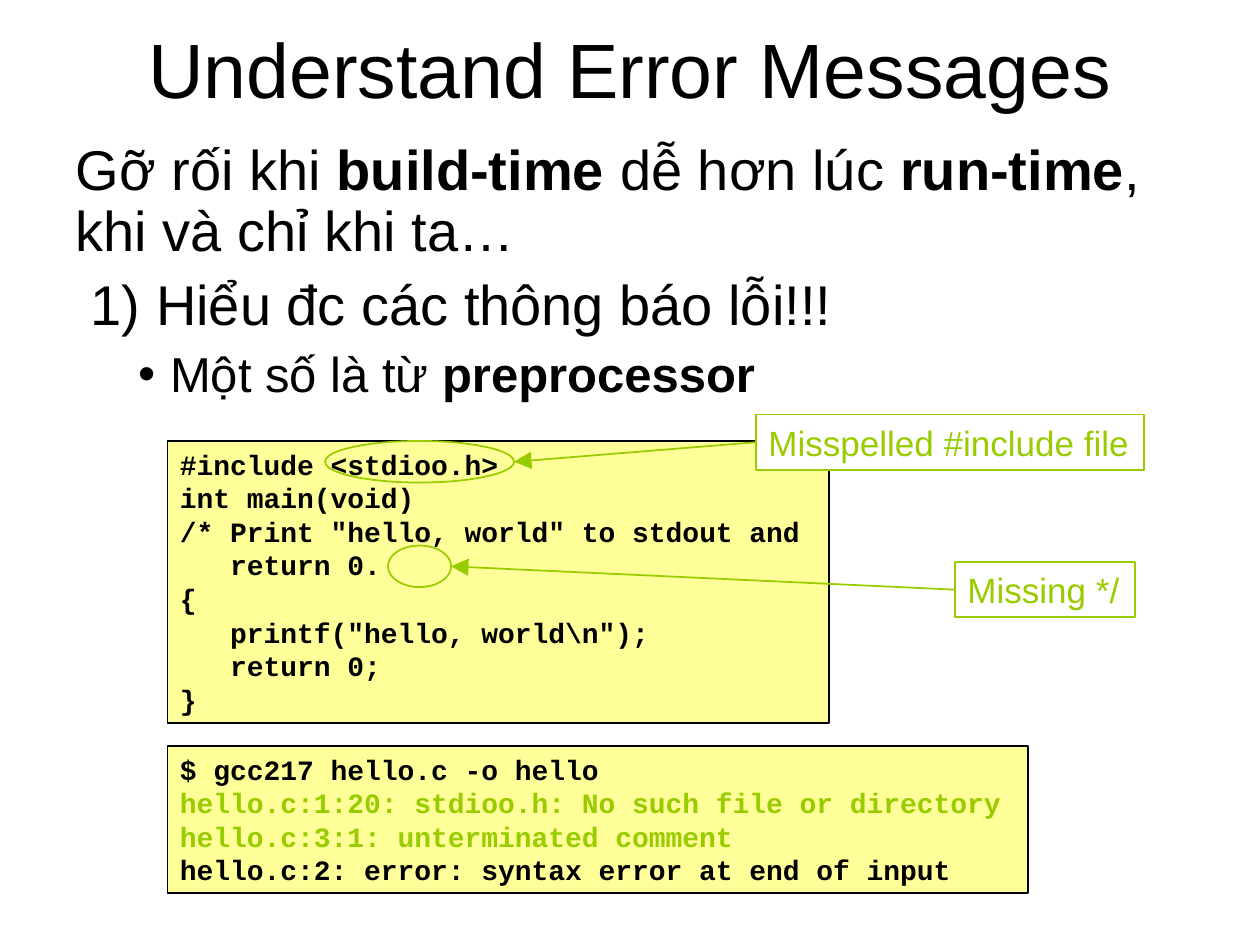
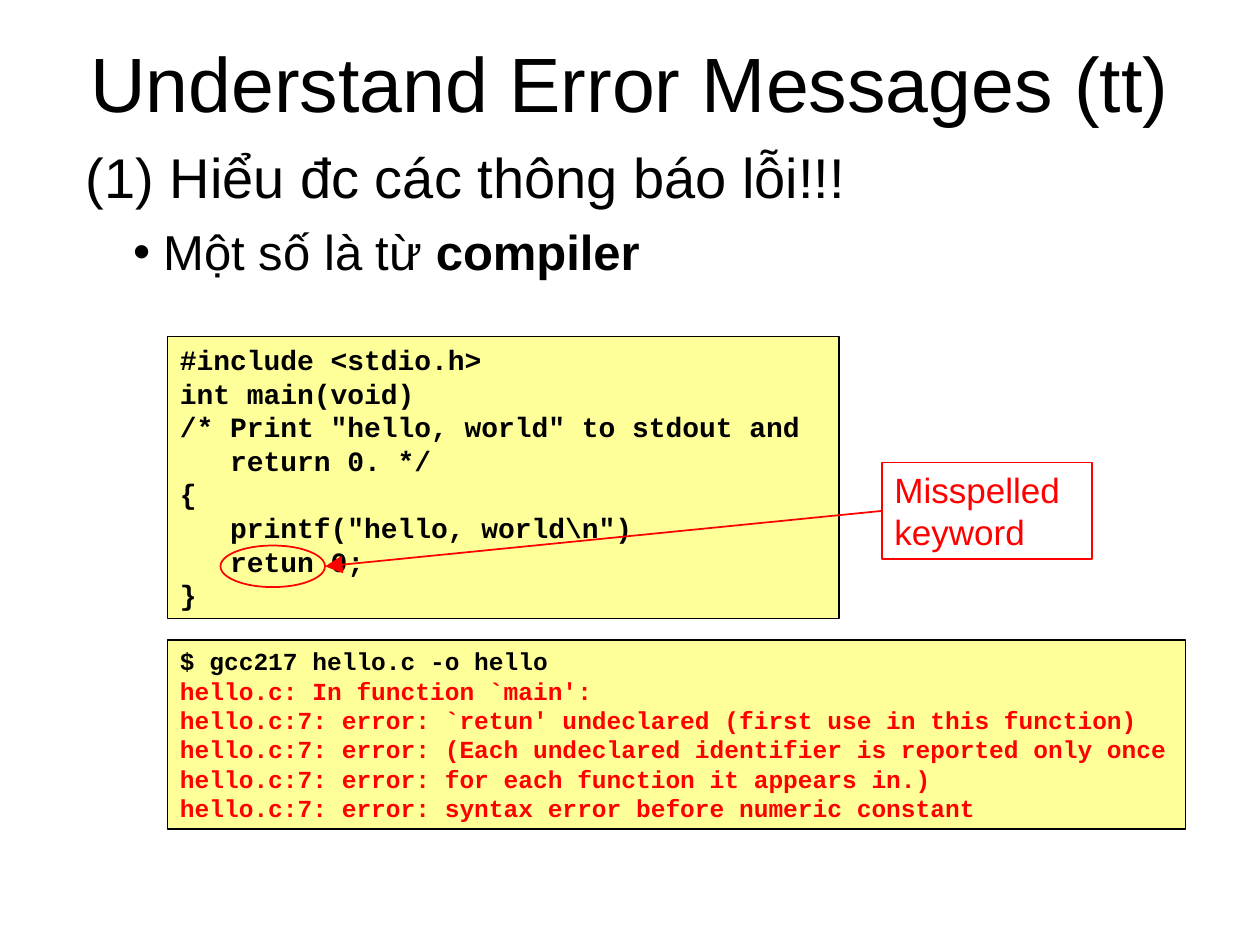
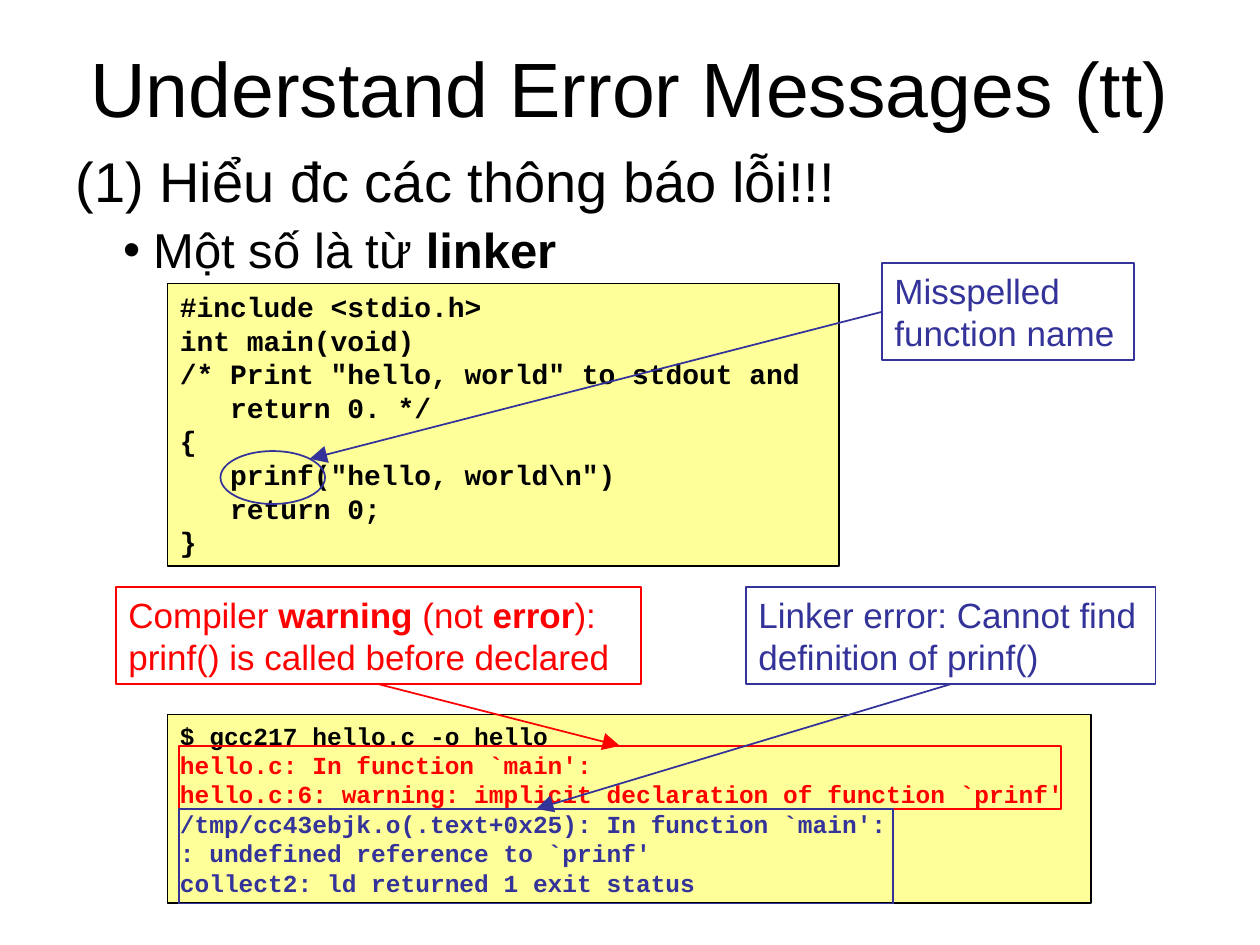
"""Build three slides on understanding build-time error messages."""
from dataclasses import dataclass
from math import cos, radians, sin

from lxml import etree
from pptx import Presentation
from pptx.dml.color import RGBColor
from pptx.enum.shapes import MSO_CONNECTOR, MSO_SHAPE
from pptx.enum.text import MSO_ANCHOR, MSO_AUTO_SIZE, PP_ALIGN
from pptx.oxml.ns import qn
from pptx.shapes.autoshape import Shape
from pptx.shapes.connector import Connector
from pptx.slide import Slide
from pptx.text.text import TextFrame, _Paragraph
from pptx.util import Emu, Pt

RECTANGLE, ELLIPSE = MSO_SHAPE.RECTANGLE, MSO_SHAPE.OVAL
STRAIGHT = MSO_CONNECTOR.STRAIGHT
MIDDLE, TOP = MSO_ANCHOR.MIDDLE, MSO_ANCHOR.TOP
LEFT, CENTER = PP_ALIGN.LEFT, PP_ALIGN.CENTER
GROW, FIXED = MSO_AUTO_SIZE.SHAPE_TO_FIT_TEXT, MSO_AUTO_SIZE.NONE
TOP_SIDE, LEFT_SIDE, BOTTOM_SIDE = 0, 1, 2

EMU_PER_PX = 9144
BLACK, WHITE, YELLOW = "000000", "FFFFFF", "FFFF99"
GREEN, RED, BLUE = "99CC00", "FF0000", "333399"
SANS, MONO = "Arial", "Courier New"
COMMAND = "$ gcc217 hello.c -o hello"


@dataclass(frozen=True)
class Box:
    left: int
    top: int
    width: int
    height: int


@dataclass(frozen=True)
class Point:
    text: str
    size: int = 32
    level: int = 0
    margin: int = 0
    indent: int = 0
    bullet: str = ""
    space_before: int = 8


@dataclass(frozen=True)
class Line:
    text: str
    color: str = BLACK


@dataclass(frozen=True)
class Panel:
    box: Box
    lines: list[Line]
    size: int = 16


@dataclass(frozen=True)
class Callout:
    label: Box
    text: str
    color: str
    mark: Box
    mark_kind: int = ELLIPSE
    tip_angle: int = 0
    side: int = LEFT_SIDE
    wrap: bool = True


@dataclass(frozen=True)
class Lesson:
    title: str
    title_box: Box
    body_box: Box
    points: list[Point]
    panels: list[Panel]
    callouts: list[Callout]
    line_spacing: float = 0.9


def px(length: float) -> Emu:
    return Emu(round(length * EMU_PER_PX))


def rgb(color: str) -> RGBColor:
    return RGBColor.from_string(color)


def corners(box: Box) -> tuple[Emu, Emu, Emu, Emu]:
    return px(box.left), px(box.top), px(box.width), px(box.height)


def place(shape: Shape, box: Box) -> None:
    shape.left, shape.top, shape.width, shape.height = corners(box)


def write_text(paragraph: _Paragraph, text: str, *, size: int, font: str = SANS,
               color: str = BLACK, bold: bool = False, align: int = LEFT) -> None:
    paragraph.alignment = align
    for index, part in enumerate(text.split("**")):
        if part:
            run = paragraph.add_run()
            run.text = part
            run.font.name, run.font.size = font, Pt(size)
            run.font.bold = bold or index % 2 == 1
            run.font.color.rgb = rgb(color)


def set_frame(frame: TextFrame, *, anchor: int = TOP, auto_size: int = FIXED,
              wrap: bool = True) -> None:
    frame.word_wrap, frame.auto_size = wrap, auto_size
    frame.vertical_anchor = anchor


def next_paragraph(frame: TextFrame, index: int) -> _Paragraph:
    return frame.add_paragraph() if index else frame.paragraphs[0]


def set_bullet(paragraph: _Paragraph, point: Point) -> None:
    properties = paragraph._p.get_or_add_pPr()
    properties.set("marL", str(px(point.margin)))
    properties.set("indent", str(px(point.indent)))
    if point.bullet == "1)":
        etree.SubElement(properties, qn("a:buAutoNum"), type="arabicParenR")
    elif point.bullet:
        etree.SubElement(properties, qn("a:buFont"), typeface=SANS)
        etree.SubElement(properties, qn("a:buChar"), char=point.bullet)
    else:
        etree.SubElement(properties, qn("a:buNone"))


def add_box(slide: Slide, kind: int, box: Box, line: str, fill: str = "") -> Shape:
    shape = slide.shapes.add_shape(kind, *corners(box))
    shape.shadow.inherit = False
    shape.line.color.rgb, shape.line.width = rgb(line), Pt(1)
    if fill:
        shape.fill.solid()
        shape.fill.fore_color.rgb = rgb(fill)
    else:
        shape.fill.background()
    return shape


def add_panel(slide: Slide, panel: Panel) -> None:
    frame = add_box(slide, RECTANGLE, panel.box, BLACK, YELLOW).text_frame
    set_frame(frame, auto_size=GROW)
    for index, line in enumerate(panel.lines):
        write_text(next_paragraph(frame, index), line.text, size=panel.size,
                   font=MONO, color=line.color, bold=True)


def style_arrow(arrow: Connector, color: str) -> None:
    arrow.line.color.rgb, arrow.line.width = rgb(color), Pt(1)
    etree.SubElement(arrow.line._get_or_add_ln(), qn("a:tailEnd"),
                     type="triangle", w="lg", len="lg")
    etree.SubElement(arrow._element.spPr, qn("a:effectLst"))


def ellipse_tip(box: Box, angle: int) -> tuple[Emu, Emu]:
    turn = radians(angle)
    return (px(box.left + box.width / 2 * (1 + cos(turn))),
            px(box.top + box.height / 2 * (1 - sin(turn))))


def add_callout(slide: Slide, callout: Callout) -> None:
    label = add_box(slide, RECTANGLE, callout.label, callout.color, WHITE)
    set_frame(label.text_frame, anchor=MIDDLE, auto_size=GROW, wrap=callout.wrap)
    write_text(label.text_frame.paragraphs[0], callout.text, size=20, color=callout.color)
    mark = add_box(slide, callout.mark_kind, callout.mark, callout.color)
    tip = ellipse_tip(callout.mark, callout.tip_angle)
    arrow = slide.shapes.add_connector(STRAIGHT, label.left, label.top, *tip)
    arrow.begin_connect(label, callout.side)
    if callout.mark_kind == RECTANGLE:
        arrow.end_connect(mark, TOP_SIDE)
    style_arrow(arrow, callout.color)


def add_lesson(presentation: Presentation, lesson: Lesson) -> None:
    slide = presentation.slides.add_slide(presentation.slide_layouts[1])
    title, body = slide.shapes.title, slide.placeholders[1]
    place(title, lesson.title_box)
    set_frame(title.text_frame, anchor=MIDDLE)
    write_text(title.text_frame.paragraphs[0], lesson.title, size=44, align=CENTER)
    place(body, lesson.body_box)
    set_frame(body.text_frame)
    for index, point in enumerate(lesson.points):
        paragraph = next_paragraph(body.text_frame, index)
        paragraph.level = point.level
        paragraph.line_spacing = lesson.line_spacing
        paragraph.space_before = Pt(point.space_before)
        set_bullet(paragraph, point)
        write_text(paragraph, point.text, size=point.size)
    for panel in lesson.panels:
        add_panel(slide, panel)
    for callout in lesson.callouts:
        add_callout(slide, callout)


def colored(color: str, *texts: str) -> list[Line]:
    return [Line(text, color) for text in texts]


def hello_code(*, header: str = "stdio.h", comment_end: str = " */",
               call: str = "printf", call_end: str = "", keyword: str = "return") -> list[Line]:
    return colored(
        BLACK, f"#include <{header}>", "int main(void)",
        '/* Print "hello, world" to stdout and', f"   return 0.{comment_end}", "{",
        f'   {call}("hello, world\\n"){call_end}', f"   {keyword} 0;", "}")


def source_point(source: str, margin: int = 62, indent: int = -24) -> Point:
    return Point(f"Một số là từ **{source}**", size=28, level=1, margin=margin,
                 indent=indent, bullet="•", space_before=7)


TITLE = "Understand Error Messages"
GOAL = "Hiểu đc các thông báo lỗi!!!"
GOAL_POINT = Point(f"(1) {GOAL}", margin=24, indent=-24)

LESSONS = [
    Lesson(
        TITLE, Box(50, 0, 900, 108), Box(50, 108, 900, 225),
        [Point("Gỡ rối khi **build-time** dễ hơn lúc **run-time**, khi và chỉ khi ta…"),
         Point(f" {GOAL}", margin=12, bullet="1)"),
         source_point("preprocessor", 75, -25)],
        [Panel(Box(133, 350, 525, 224),
               hello_code(header="stdioo.h", comment_end="", call_end=";")),
         Panel(Box(133, 592, 683, 117),
               [Line(COMMAND),
                *colored(GREEN, "hello.c:1:20: stdioo.h: No such file or directory",
                         "hello.c:3:1: unterminated comment"),
                Line("hello.c:2: error: syntax error at end of input")])],
        [Callout(Box(600, 329, 308, 44), "Misspelled #include file", GREEN,
                 Box(258, 350, 150, 33), wrap=False),
         Callout(Box(758, 446, 143, 44), "Missing */", GREEN,
                 Box(308, 433, 50, 33), wrap=False)]),
    Lesson(
        f"{TITLE} (tt)", Box(50, 30, 900, 70), Box(58, 108, 900, 125),
        [GOAL_POINT, source_point("compiler")],
        [Panel(Box(133, 267, 533, 224), hello_code(keyword="retun")),
         Panel(Box(133, 508, 808, 150),
               [Line(COMMAND),
                *colored(RED, "hello.c: In function `main':",
                         "hello.c:7: error: `retun' undeclared (first use in this function)",
                         "hello.c:7: error: (Each undeclared identifier is reported only once",
                         "hello.c:7: error: for each function it appears in.)",
                         "hello.c:7: error: syntax error before numeric constant")], 14)],
        [Callout(Box(700, 367, 167, 77), "Misspelled keyword", RED, Box(175, 433, 83, 33))],
        line_spacing=1.0),
    Lesson(
        f"{TITLE} (tt)", Box(50, 30, 900, 78), Box(50, 117, 900, 117),
        [GOAL_POINT, source_point("linker")],
        [Panel(Box(133, 225, 533, 224), hello_code(call="prinf")),
         Panel(Box(133, 567, 733, 150),
               [Line(COMMAND),
                *colored(RED, "hello.c: In function `main':",
                         "hello.c:6: warning: implicit declaration of function `prinf'"),
                *colored(BLUE, "/tmp/cc43ebjk.o(.text+0x25): In function `main':",
                         ": undefined reference to `prinf'",
                         "collect2: ld returned 1 exit status")], 14)],
        [Callout(Box(700, 209, 200, 77), "Misspelled function name", BLUE,
                 Box(175, 358, 83, 42), tip_angle=45),
         Callout(Box(92, 466, 417, 77),
                 "Compiler **warning** (not **error**): prinf() is called before declared",
                 RED, Box(142, 592, 700, 50), RECTANGLE, side=BOTTOM_SIDE),
         Callout(Box(592, 466, 325, 77), "Linker error: Cannot find definition of prinf()",
                 BLUE, Box(142, 642, 567, 75), RECTANGLE, side=BOTTOM_SIDE)]),
]


def main() -> None:
    presentation = Presentation()
    presentation.slide_width, presentation.slide_height = px(1000), px(750)
    for lesson in LESSONS:
        add_lesson(presentation, lesson)
    presentation.save("out.pptx")


if __name__ == "__main__":
    main()
